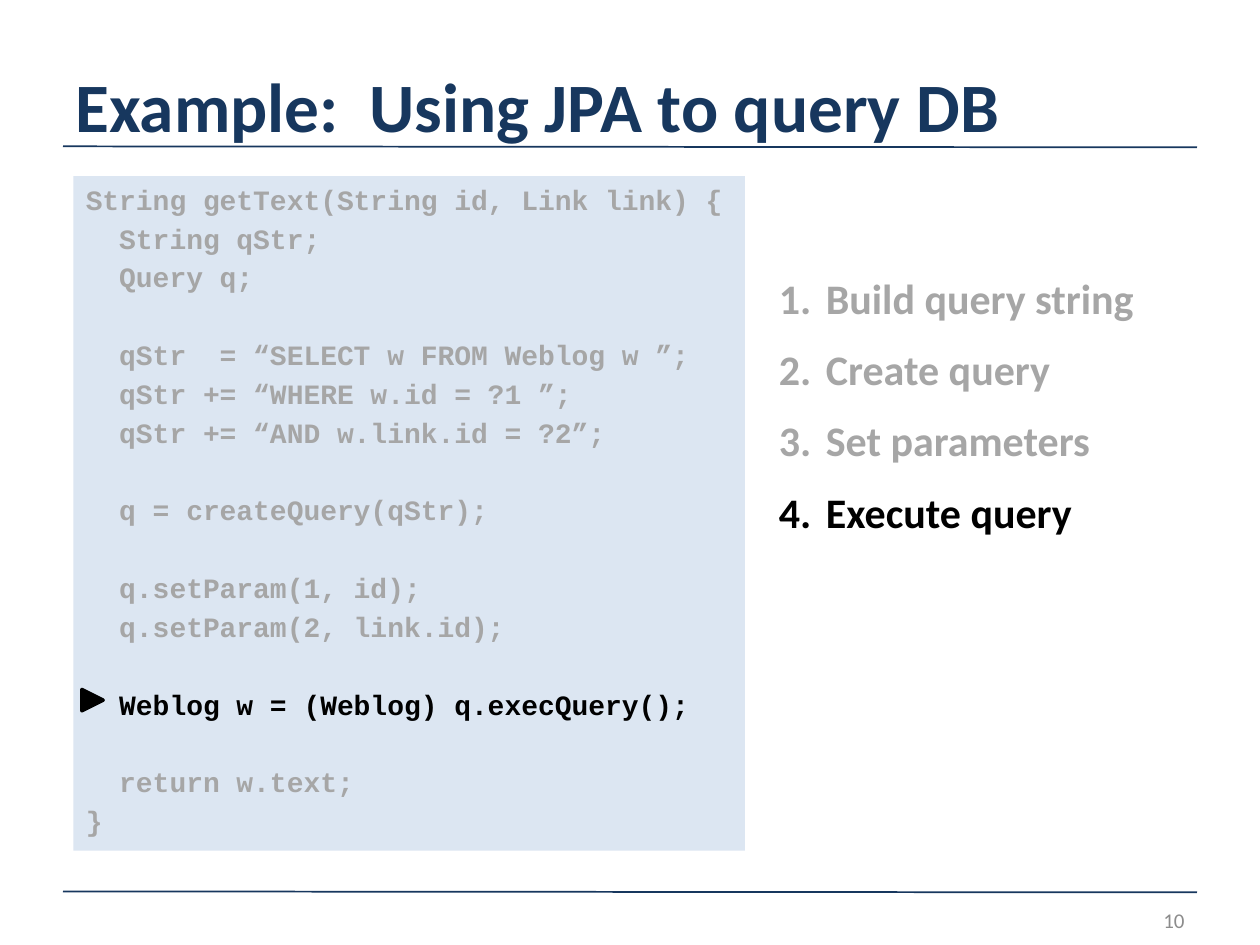
from typing import NamedTuple

from lxml import etree
from pptx import Presentation
from pptx import util as u
from pptx.dml.color import RGBColor
from pptx.enum import shapes, text
from pptx.oxml import ns

NAVY = RGBColor(0x17, 0x37, 0x5E)
PALE_BLUE = RGBColor(0xDC, 0xE6, 0xF2)
MUTED = RGBColor(0xA6, 0xA6, 0xA6)
PAGE_GREY = RGBColor(0x8C, 0x8C, 0x8C)
BLACK = RGBColor(0, 0, 0)

LINE_GAP = 3  # points between code lines
BLANK_LINE = 22.2  # points taken by one empty code line


class Box(NamedTuple):
    left: float
    top: float
    width: float
    height: float

    def cm(self) -> list[u.Cm]:
        return [u.Cm(v) for v in self]


class Style(NamedTuple):
    font: str
    size: float
    bold: bool = True


class Line(NamedTuple):
    words: str
    color: RGBColor = MUTED


TITLE = Style("Calibri", 39.6)
CODE = Style("Courier New", 16)
STEP = Style("Calibri", 24)
PAGE = Style("Calibri", 12, False)

CODE_BLOCKS = [
    [
        Line("String getText(String id, Link link) {"),
        Line("  String qStr;"),
        Line("  Query q;"),
    ],
    [
        Line("  qStr  = “SELECT w FROM Weblog w ”;"),
        Line("  qStr += “WHERE w.id = ?1 ”;"),
        Line("  qStr += “AND w.link.id = ?2”;"),
    ],
    [Line("  q = createQuery(qStr);")],
    [Line("  q.setParam(1, id);"), Line("  q.setParam(2, link.id);")],
    [Line("  Weblog w = (Weblog) q.execQuery();", BLACK)],
    [Line("  return w.text;"), Line("}")],
]
STEPS = [
    Line("Build query string"),
    Line("Create query"),
    Line("Set parameters"),
    Line("Execute query", BLACK),
]


def add_rule(s, y1: float, y2: float) -> None:
    """Draw a thin line across the slide, between the margins."""
    rule = s.shapes.add_connector(
        shapes.MSO_CONNECTOR.STRAIGHT, u.Cm(1.27), u.Cm(y1), u.Cm(24.13), u.Cm(y2)
    )
    rule.line.color.rgb = NAVY
    rule.line.width = u.Pt(1)
    etree.SubElement(rule._element.spPr, ns.qn("a:effectLst"))


def add_shape(s, kind: shapes.MSO_SHAPE, box: Box, fill: RGBColor):
    sp = s.shapes.add_shape(kind, *box.cm())
    sp.shadow.inherit = False
    sp.fill.solid()
    sp.fill.fore_color.rgb = fill
    sp.line.fill.background()
    return sp


def add_text_box(s, box: Box, anchor=text.MSO_ANCHOR.TOP):
    tf = s.shapes.add_textbox(*box.cm()).text_frame
    tf.word_wrap = True
    tf.vertical_anchor = anchor
    return tf


def add_run(p, line: Line, style: Style) -> None:
    r = p.add_run()
    r.text = line.words
    r.font.name = style.font
    r.font.size = u.Pt(style.size)
    r.font.bold = style.bold
    r.font.color.rgb = line.color


def next_paragraph(tf, index: int):
    return tf.add_paragraph() if index else tf.paragraphs[0]


def number_paragraph(p) -> None:
    """Give the paragraph an automatic number and a hanging indent."""
    pPr = p._p.get_or_add_pPr()
    pPr.set("marL", str(u.Cm(0.95)))
    pPr.set("indent", str(u.Cm(-0.95)))
    etree.SubElement(pPr, ns.qn("a:buFont"), typeface="+mj-lt")
    etree.SubElement(pPr, ns.qn("a:buAutoNum"), type="arabicPeriod")


def add_code(s) -> None:
    sp = add_shape(s, shapes.MSO_SHAPE.RECTANGLE, Box(1.48, 3.55, 13.54, 13.6), PALE_BLUE)
    tf = sp.text_frame
    tf.word_wrap = True
    tf.vertical_anchor = text.MSO_ANCHOR.TOP
    starts = [(line, n == 0) for block in CODE_BLOCKS for n, line in enumerate(block)]
    for i, (line, starts_block) in enumerate(starts):
        p = next_paragraph(tf, i)
        p.alignment = text.PP_ALIGN.LEFT
        if i:
            p.space_before = u.Pt(LINE_GAP + BLANK_LINE * starts_block)
        add_run(p, line, CODE)


def add_steps(s) -> None:
    tf = add_text_box(s, Box(15.45, 5.36, 8.69, 5.87))
    for i, line in enumerate(STEPS):
        p = next_paragraph(tf, i)
        number_paragraph(p)
        p.space_after = u.Pt(12)
        add_run(p, line, STEP)


def add_pointer(s) -> None:
    """Mark the active code line with a triangle pointing right."""
    sp = add_shape(s, shapes.MSO_SHAPE.ISOSCELES_TRIANGLE, Box(1.65, 13.9, 0.43, 0.43), BLACK)
    sp.rotation = 90
    sp.line.color.rgb = BLACK
    sp.line.width = u.Pt(2)


def main() -> None:
    prs = Presentation()
    prs.slide_width, prs.slide_height = u.Cm(25.4), u.Cm(19.05)
    s = prs.slides.add_slide(prs.slide_layouts[6])

    add_rule(s, 2.95, 2.97)
    add_rule(s, 17.97, 17.99)

    tf = add_text_box(s, Box(1.27, 1.27, 22.86, 1.7), text.MSO_ANCHOR.MIDDLE)
    add_run(tf.paragraphs[0], Line("Example:  Using JPA to query DB", NAVY), TITLE)

    add_code(s)
    add_steps(s)
    add_pointer(s)

    tf = add_text_box(s, Box(18.2, 18.03, 5.93, 1.02), text.MSO_ANCHOR.MIDDLE)
    tf.paragraphs[0].alignment = text.PP_ALIGN.RIGHT
    add_run(tf.paragraphs[0], Line("10", PAGE_GREY), PAGE)

    prs.save("out.pptx")


if __name__ == "__main__":
    main()
